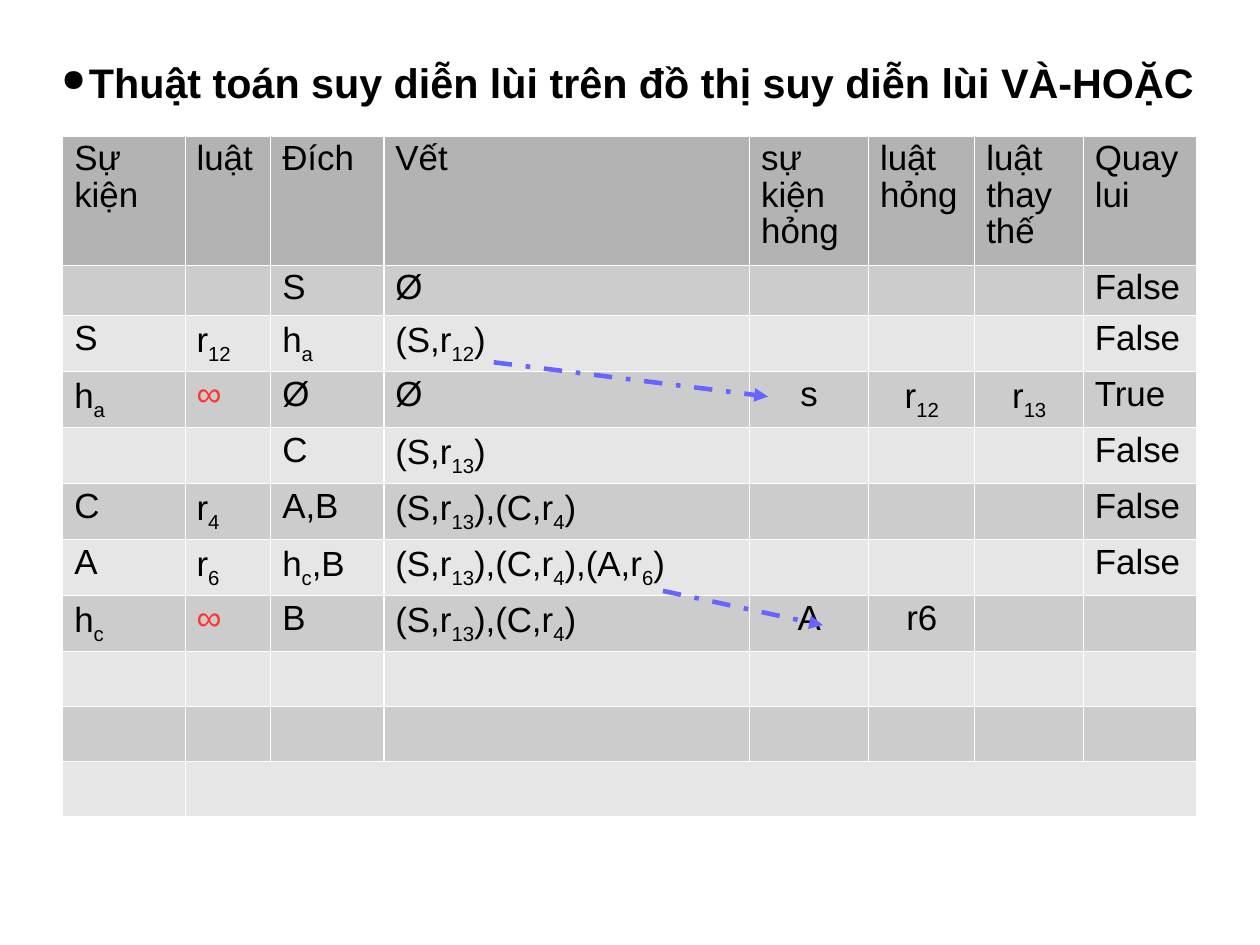
from pptx import Presentation
from pptx.dml.color import RGBColor
from pptx.enum.dml import MSO_LINE_DASH_STYLE as Dash
from pptx.enum.shapes import MSO_CONNECTOR as Connector
from pptx.enum.text import MSO_ANCHOR as Anchor, PP_ALIGN as Align
from pptx.oxml.ns import qn
from pptx.util import Inches, Pt
from lxml.etree import SubElement

FONT = "Arial"
BLACK, WHITE, RED, ARROW_BLUE = "000000", "FFFFFF", "FF3333", "6666FF"
HEADER_FILL, BAND_FILLS = "B3B3B3", ("E6E6E6", "CCCCCC")
TITLE = "Thuật toán suy diễn lùi trên đồ thị suy diễn lùi VÀ-HOẶC"
COLUMN_WIDTHS = [1.07, 0.75, 0.99, 3.2, 1.04, 0.93, 0.95, 0.99]
ROW_HEIGHTS = [1.13, 0.44] + [0.49] * 6 + [0.48] * 3
FAILURE_COLUMNS = (4, 5, 6)
STEPS = [
    ["Sự kiện", "luật", "Đích", "Vết", "sự kiện hỏng", "luật hỏng", "luật thay thế", "Quay lui"],
    ["", "", "S", "Ø", "", "", "", "False"],
    ["S", "r_12_", "h_a_", "(S,r_12_)", "", "", "", "False"],
    ["h_a_", "∞", "Ø", "Ø", "s", "r_12_", "r_13_", "True"],
    ["", "", "C", "(S,r_13_)", "", "", "", "False"],
    ["C", "r_4_", "A,B", "(S,r_13_),(C,r_4_)", "", "", "", "False"],
    ["A", "r_6_", "h_c_,B", "(S,r_13_),(C,r_4_),(A,r_6_)", "", "", "", "False"],
    ["h_c_", "∞", "B", "(S,r_13_),(C,r_4_)", "A", "r6", "", ""],
    [""] * 8,
    [""] * 8,
    [""] * 8,
]


def color(value):
    return RGBColor.from_string(value)


def style_font(font, size, value, bold=False):
    font.name = FONT
    font.size = Pt(size)
    font.bold = bold
    font.color.rgb = color(value)


def add_title(slide):
    box = slide.shapes.add_textbox(Inches(0.4), Inches(0.31), Inches(10.2), Inches(0.81))
    frame = box.text_frame
    frame.word_wrap = True
    frame.vertical_anchor = Anchor.MIDDLE
    frame.margin_left = frame.margin_right = frame.margin_top = frame.margin_bottom = 0
    frame.text = TITLE
    paragraph = frame.paragraphs[0]
    paragraph.alignment = Align.CENTER
    properties = paragraph._p.get_or_add_pPr()
    properties.set("marL", str(Inches(0.24)))
    properties.set("indent", str(Inches(-0.24)))
    bullet_color = SubElement(properties, qn("a:buClr"))
    SubElement(bullet_color, qn("a:srgbClr"), val=BLACK)
    SubElement(properties, qn("a:buSzPct"), val="75000")
    SubElement(properties, qn("a:buChar"), char="●")
    style_font(paragraph.runs[0].font, 26, BLACK, bold=True)


def write_with_subscripts(paragraph, text):
    for position, part in enumerate(text.split("_")):
        if part:
            run = paragraph.add_run()
            run.text = part
            style_font(run.font, 22, RED if part == "∞" else BLACK)
            if position % 2:
                run._r.get_or_add_rPr().set("baseline", "-25000")


def add_borders(cell):
    properties = cell._tc.get_or_add_tcPr()
    for side in ("lnL", "lnR", "lnT", "lnB"):
        border = SubElement(properties, qn(f"a:{side}"), w=str(Pt(0.75)))
        fill = SubElement(border, qn("a:solidFill"))
        SubElement(fill, qn("a:srgbClr"), val=WHITE)


def format_cell(cell, text, fill, centered):
    cell.margin_left = cell.margin_right = Inches(0.1)
    cell.margin_top = cell.margin_bottom = Inches(0.05)
    add_borders(cell)
    cell.fill.solid()
    cell.fill.fore_color.rgb = color(fill)
    paragraph = cell.text_frame.paragraphs[0]
    paragraph.alignment = Align.CENTER if centered else Align.LEFT
    paragraph.line_spacing = 0.93
    write_with_subscripts(paragraph, text)


def add_step_table(slide):
    frame = slide.shapes.add_table(
        len(ROW_HEIGHTS), len(COLUMN_WIDTHS),
        Inches(0.55), Inches(1.19), Inches(9.92), Inches(5.95))
    table = frame.table
    table.first_row = False
    table.horz_banding = False
    for column, width in zip(table.columns, COLUMN_WIDTHS):
        column.width = Inches(width)
    for index, (row, height) in enumerate(zip(table.rows, ROW_HEIGHTS)):
        row.height = Inches(height)
        fill = BAND_FILLS[index % 2] if index else HEADER_FILL
        for column, text in enumerate(STEPS[index]):
            centered = index > 0 and column in FAILURE_COLUMNS
            format_cell(table.cell(index, column), text, fill, centered)
    last = len(ROW_HEIGHTS) - 1
    table.cell(last, 1).merge(table.cell(last, len(COLUMN_WIDTHS) - 1))


def add_failure_arrow(slide, left, top, width, height):
    arrow = slide.shapes.add_connector(
        Connector.STRAIGHT, Inches(left), Inches(top),
        Inches(left + width), Inches(top + height))
    arrow.line.color.rgb = color(ARROW_BLUE)
    arrow.line.width = Pt(2.89)
    arrow.line.dash_style = Dash.DASH_DOT
    SubElement(arrow.line._get_or_add_ln(), qn("a:tailEnd"), type="triangle")
    SubElement(arrow._element.spPr, qn("a:effectLst"))


def main():
    presentation = Presentation()
    presentation.slide_width = Inches(28 / 2.54)
    presentation.slide_height = Inches(21 / 2.54)
    slide = presentation.slides.add_slide(presentation.slide_layouts[6])
    add_title(slide)
    add_step_table(slide)
    add_failure_arrow(slide, 4.32, 3.17, 2.4, 0.3)
    add_failure_arrow(slide, 5.8, 5.17, 1.4, 0.3)
    presentation.save("out.pptx")


if __name__ == "__main__":
    main()
